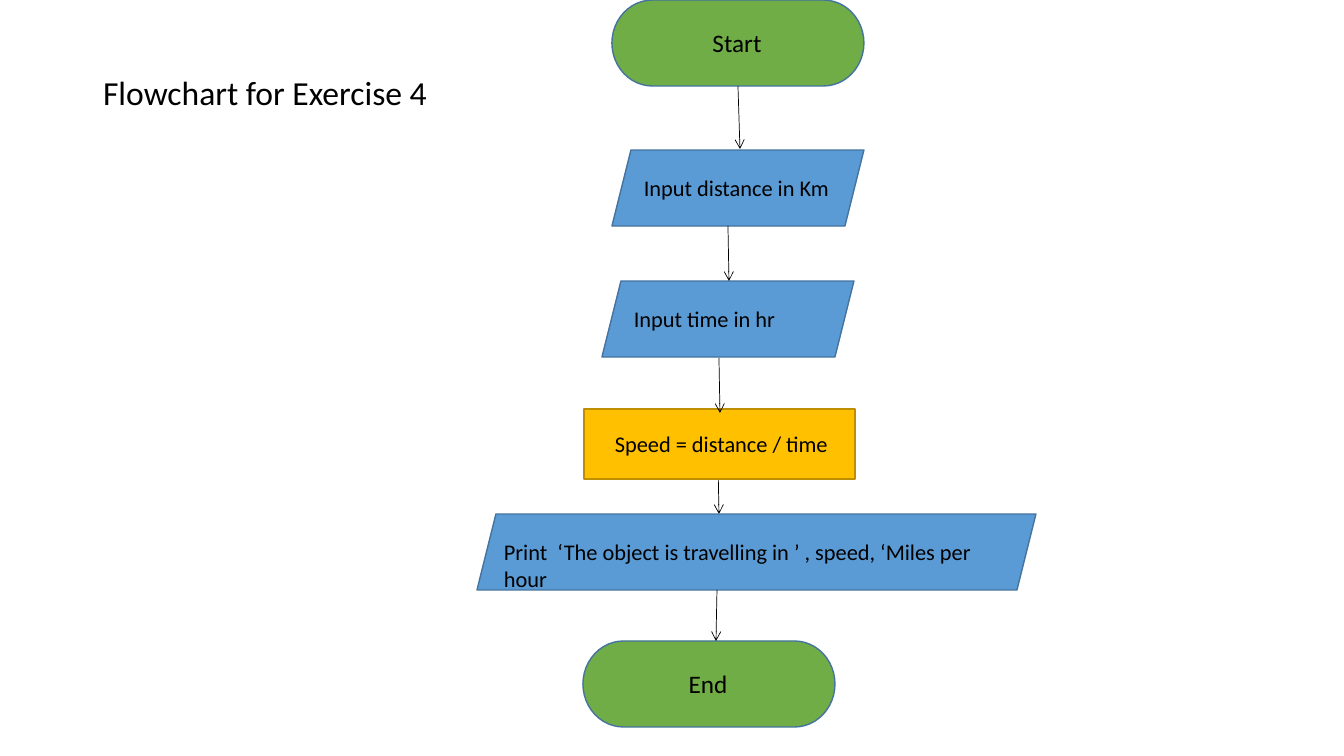
import pptx
import pptx.util
import pptx.dml.color
import pptx.enum.shapes
import pptx.enum.text
import pptx.oxml
import pptx.oxml.ns

SHAPES = pptx.enum.shapes.MSO_SHAPE
ALIGN = pptx.enum.text.PP_ALIGN
ANCHOR = pptx.enum.text.MSO_ANCHOR
COLORS = {"text": "000000", "terminal": "70AD47", "data": "5B9BD5",
          "process": "FFC000", "edge": "43739E", "process_edge": "BD8E00"}


def emu(pixels):
    return round(pixels * 914400 / 100.8)


def color(name):
    return pptx.dml.color.RGBColor.from_string(COLORS[name])


class Flowchart:
    font = "Calibri"

    def __init__(self, deck):
        self.page = deck.slides.add_slide(deck.slide_layouts[5])

    def set_text(self, box, text, size, align):
        box.text_frame.word_wrap = True
        para = box.text_frame.paragraphs[0]
        para.text = text
        para.alignment = align
        para.font.name = self.font
        para.font.size = pptx.util.Pt(size)
        para.font.color.rgb = color("text")
        return para

    def title(self, text, left, top, width, height):
        box = self.page.shapes.title
        box.left, box.top, box.width, box.height = map(emu, (left, top, width, height))
        box.text_frame.vertical_anchor = ANCHOR.MIDDLE
        self.set_text(box, text, 24, ALIGN.LEFT).line_spacing = 0.9

    def step(self, preset, fill, edge, left, top, width, height):
        shape = self.page.shapes.add_shape(preset, *map(emu, (left, top, width, height)))
        shape.shadow.inherit = False
        shape.fill.solid()
        shape.fill.fore_color.rgb = color(fill)
        shape.line.color.rgb = color(edge)
        shape.line.width = pptx.util.Pt(1)

    def terminal(self, text, left, top):
        self.step(SHAPES.FLOWCHART_TERMINATOR, "terminal", "edge", left, top, 252, 86)
        self.label(text, left + 6, top + 22, 238, 40, 18, ALIGN.CENTER)

    def data(self, text, left, top, width, label_left, label_width, label_height):
        self.step(SHAPES.PARALLELOGRAM, "data", "edge", left, top, width, 76)
        self.label(text, label_left, top + 19, label_width, label_height)

    def process(self, text, left, top):
        self.step(SHAPES.FLOWCHART_PROCESS, "process", "process_edge", left, top, 271, 70)
        self.label(text, left + 21, top + 16, 237, 37)

    def label(self, text, left, top, width, height, size=16, align=ALIGN.LEFT):
        box = self.page.shapes.add_textbox(*map(emu, (left, top, width, height)))
        self.set_text(box, text, size, align)

    def arrow(self, *ends):
        connector = self.page.shapes.add_connector(
            pptx.enum.shapes.MSO_CONNECTOR.STRAIGHT, *map(emu, ends))
        connector.line.color.rgb = color("text")
        connector.line.width = pptx.util.Pt(0.5)
        namespace = pptx.oxml.ns.nsdecls("a")
        properties = connector.element.spPr
        outline = properties.find(pptx.oxml.ns.qn("a:ln"))
        outline.append(pptx.oxml.parse_xml(f'<a:tailEnd {namespace} type="arrow"/>'))
        properties.append(pptx.oxml.parse_xml(f"<a:effectLst {namespace}/>"))


deck = pptx.Presentation()
deck.slide_width, deck.slide_height = emu(1344), emu(756)
chart = Flowchart(deck)

chart.title("Flowchart for Exercise 4", 93, 40, 373, 110)
chart.arrow(718, 459, 719, 514)
chart.terminal("Start", 612, 0)
chart.data("Input distance in Km", 612, 150, 252, 634, 209, 37)
chart.data("Input time in hr", 602, 281, 252, 624, 209, 37)
chart.process("Speed = distance / time", 584, 409)
chart.data("Print  ‘The object is travelling in ’ , speed, ‘Miles per hour",
           477, 514, 559, 494, 517, 65)
chart.terminal("End", 583, 641)

for ends in [(738, 86, 740, 149), (728, 226, 729, 281),
             (719, 358, 720, 413), (717, 590, 716, 641)]:
    chart.arrow(*ends)

deck.save("out.pptx")
